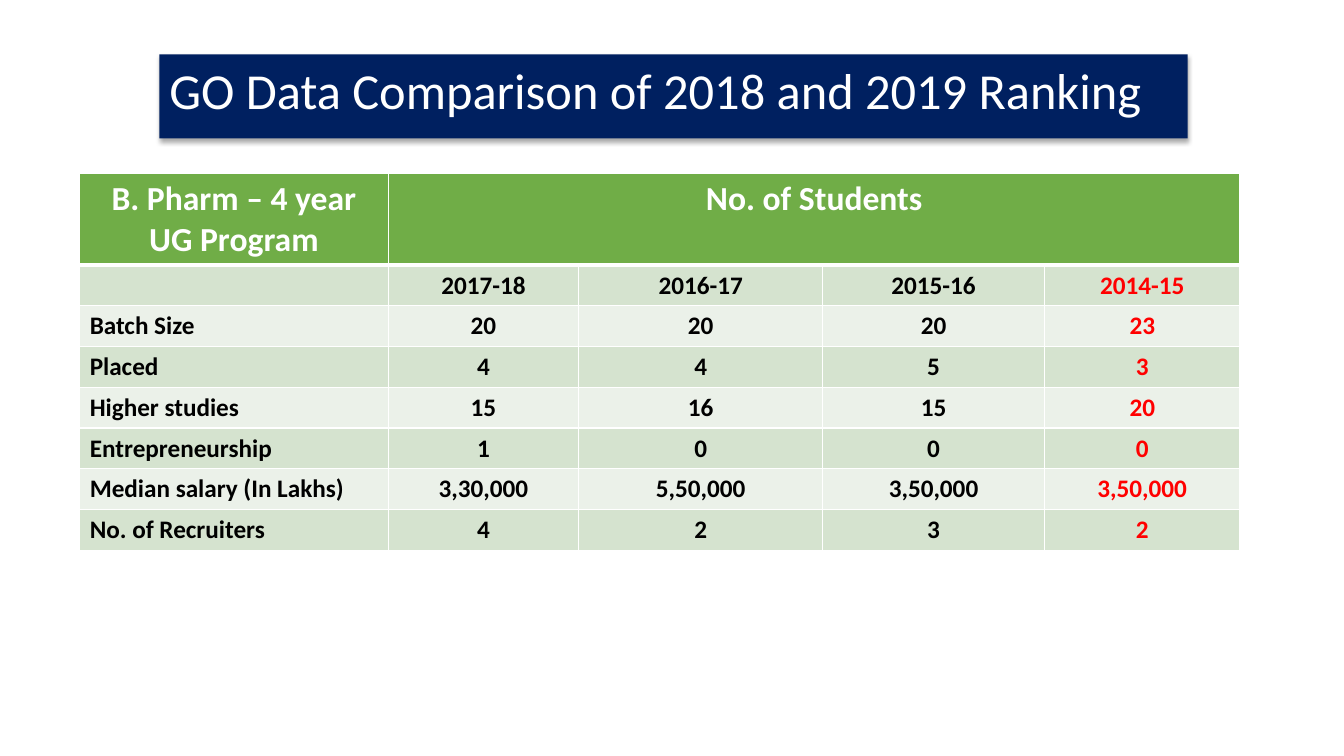
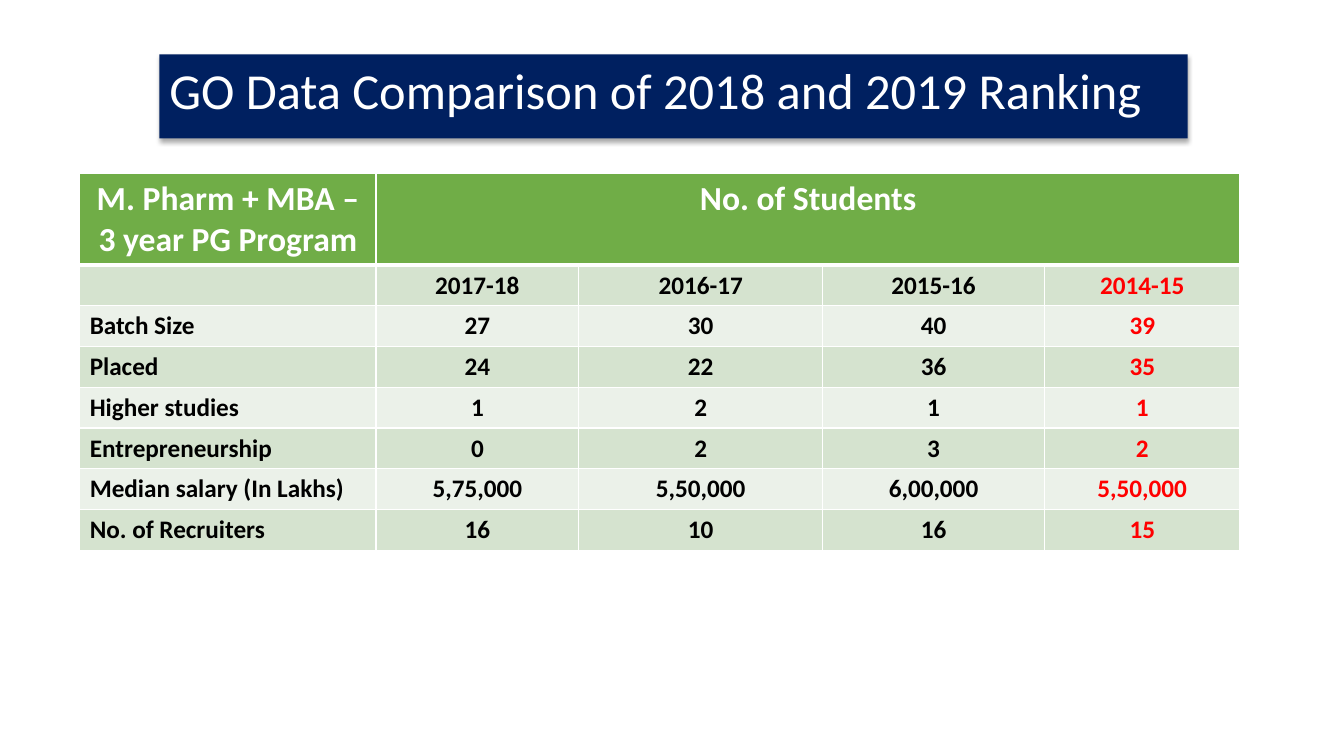
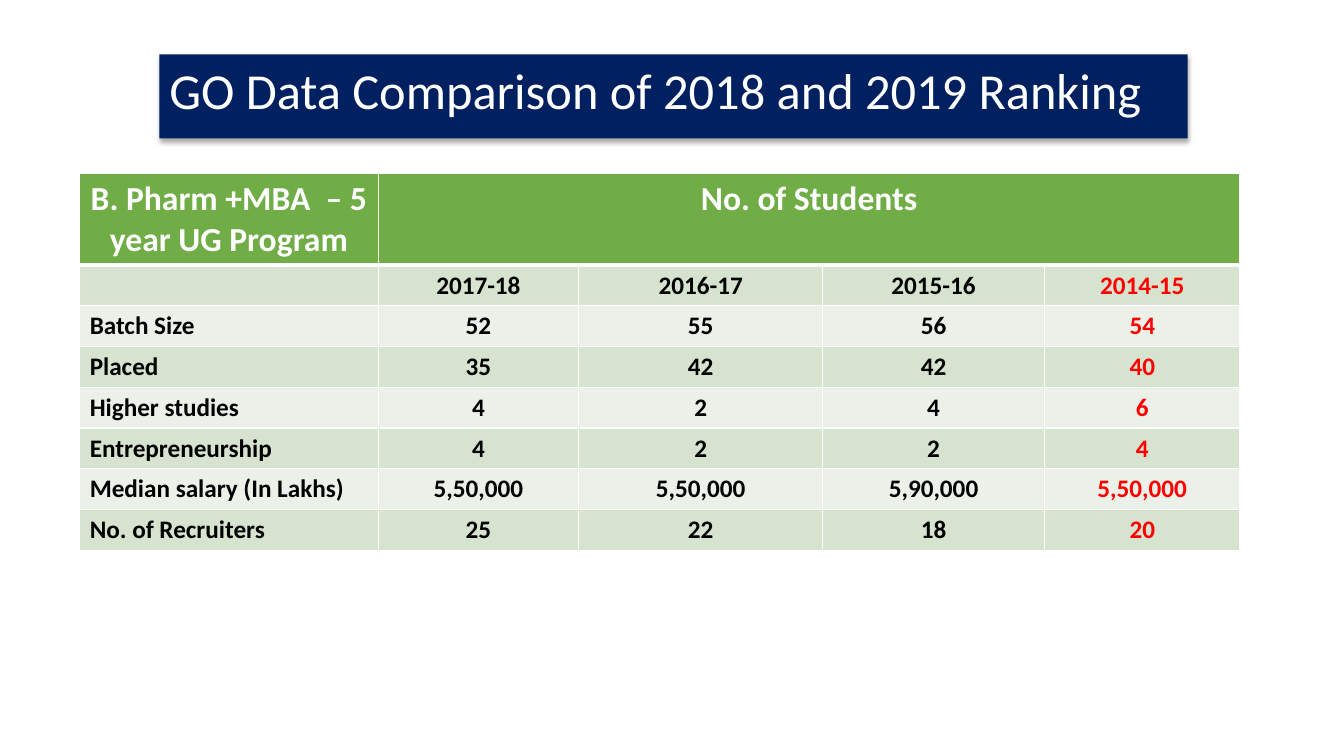
from dataclasses import dataclass

import lxml.etree
import pptx
import pptx.dml.color
import pptx.enum.text
import pptx.oxml
import pptx.oxml.ns
import pptx.util

Inches = pptx.util.Inches
Pt = pptx.util.Pt
ALIGN = pptx.enum.text.PP_ALIGN
ANCHOR = pptx.enum.text.MSO_ANCHOR
qn = pptx.oxml.ns.qn

# Shared style
FONT = "Calibri"
NAVY, GREEN, WHITE, BLACK, RED = "002060", "70AD47", "FFFFFF", "000000", "FF0000"
BANDS = ("D5E3CF", "EBF1E9")
TITLE = "GO Data Comparison of 2018 and 2019 Ranking"

# Shared table content and measures, in inches
YEARS = ("2017-18", "2016-17", "2015-16", "2014-15")
MEASURES = ("Batch Size", "Placed", "Higher studies", "Entrepreneurship",
            "Median salary (In Lakhs)", "No. of Recruiters")
TABLE_LEFT, TABLE_TOP = 0.79, 1.72
TABLE_HEIGHT, HEADER_HEIGHT = 3.74, 0.91
FIRST_TWO_COLUMNS = 4.95
LATER_COLUMNS = (2.42, 2.2, 1.94)


@dataclass
class Program:
    name: str
    label_width: float
    values: tuple[tuple[str, ...], ...]  # one row per measure, one value per year


PROGRAMS = (
    Program("B. Pharm – 4 year UG Program", 3.06, (
        ("20", "20", "20", "23"),
        ("4", "4", "5", "3"),
        ("15", "16", "15", "20"),
        ("1", "0", "0", "0"),
        ("3,30,000", "5,50,000", "3,50,000", "3,50,000"),
        ("4", "2", "3", "2"),
    )),
    Program("M. Pharm + MBA – 3 year PG Program", 2.94, (
        ("27", "30", "40", "39"),
        ("24", "22", "36", "35"),
        ("1", "2", "1", "1"),
        ("0", "2", "3", "2"),
        ("5,75,000", "5,50,000", "6,00,000", "5,50,000"),
        ("16", "10", "16", "15"),
    )),
    Program("B. Pharm +MBA  – 5 year UG Program", 2.96, (
        ("52", "55", "56", "54"),
        ("35", "42", "42", "40"),
        ("4", "2", "4", "6"),
        ("4", "2", "2", "4"),
        ("5,50,000", "5,50,000", "5,90,000", "5,50,000"),
        ("25", "22", "18", "20"),
    )),
)


def set_fill(target, color: str) -> None:
    target.fill.solid()
    target.fill.fore_color.rgb = pptx.dml.color.RGBColor.from_string(color)


def write_text(tf, text: str, size: float, color: str, align, bold: bool = False) -> None:
    tf.text = text
    p = tf.paragraphs[0]
    p.alignment = align
    for r in p.runs:
        r.font.name = FONT
        r.font.size = Pt(size)
        r.font.bold = bold
        r.font.color.rgb = pptx.dml.color.RGBColor.from_string(color)


def add_shadow(sp) -> None:
    """Soft black shadow straight below the shape."""
    effects = lxml.etree.SubElement(sp._element.spPr, qn("a:effectLst"))
    shadow = lxml.etree.SubElement(
        effects, qn("a:outerShdw"), blurRad=str(Pt(3.5)), dist=str(Pt(2.2)),
        dir="5400000", algn="t", rotWithShape="0")
    color = lxml.etree.SubElement(shadow, qn("a:srgbClr"), val=BLACK)
    lxml.etree.SubElement(color, qn("a:alpha"), val="32000")


def set_borders(cell, top: float, bottom: float) -> None:
    """White borders, 1 pt at the sides; they must precede the cell fill."""
    tc_pr = cell._tc.get_or_add_tcPr()
    sides = (("a:lnL", 1), ("a:lnR", 1), ("a:lnT", top), ("a:lnB", bottom))
    for i, (tag, width) in enumerate(sides):
        ln = lxml.etree.Element(qn(tag), w=str(Pt(width)))
        fill = lxml.etree.SubElement(ln, qn("a:solidFill"))
        lxml.etree.SubElement(fill, qn("a:srgbClr"), val=WHITE)
        tc_pr.insert(i, ln)


def add_title(slide) -> None:
    sp = slide.shapes.title
    sp.left, sp.top, sp.width, sp.height = map(Inches, (1.58, 0.54, 10.2, 0.71))
    set_fill(sp, NAVY)
    add_shadow(sp)
    tf = sp.text_frame
    write_text(tf, TITLE, 36, WHITE, ALIGN.LEFT)
    tf.word_wrap = True
    tf.vertical_anchor = ANCHOR.TOP
    tf.auto_size = pptx.enum.text.MSO_AUTO_SIZE.SHAPE_TO_FIT_TEXT


def add_program_table(slide, program: Program) -> None:
    rows = [(program.name, "No. of Students", "", "", ""), ("", *YEARS)]
    rows += [(name, *values) for name, values in zip(MEASURES, program.values)]
    widths = (program.label_width, FIRST_TWO_COLUMNS - program.label_width, *LATER_COLUMNS)
    table = slide.shapes.add_table(
        len(rows), len(widths), Inches(TABLE_LEFT), Inches(TABLE_TOP),
        Inches(sum(widths)), Inches(TABLE_HEIGHT)).table

    # Column widths and row heights
    for column, width in zip(table.columns, widths):
        column.width = Inches(width)
    body_height = (TABLE_HEIGHT - HEADER_HEIGHT) / (len(rows) - 1)
    for i, row in enumerate(table.rows):
        row.height = Inches(body_height if i else HEADER_HEIGHT)

    # Cells: green header, banded body, latest column in red
    for i, texts in enumerate(rows):
        for j, text in enumerate(texts):
            cell = table.cell(i, j)
            header = i == 0
            set_fill(cell, GREEN if header else BANDS[(i - 1) % 2])
            set_borders(cell, top=3 if i == 1 else 1, bottom=3 if header else 1)
            color = WHITE if header else RED if j == len(YEARS) else BLACK
            align = ALIGN.CENTER if header or j else ALIGN.LEFT
            write_text(cell.text_frame, text, 24 if header else 18, color, align, bold=True)
    table.cell(0, 1).merge(table.cell(0, len(widths) - 1))


def main() -> None:
    prs = pptx.Presentation()
    prs.slide_width, prs.slide_height = Inches(13.33), Inches(7.5)
    title_only = prs.slide_layouts[5]
    for program in PROGRAMS:
        slide = prs.slides.add_slide(title_only)
        add_title(slide)
        add_program_table(slide, program)
    prs.save("out.pptx")


if __name__ == "__main__":
    main()
